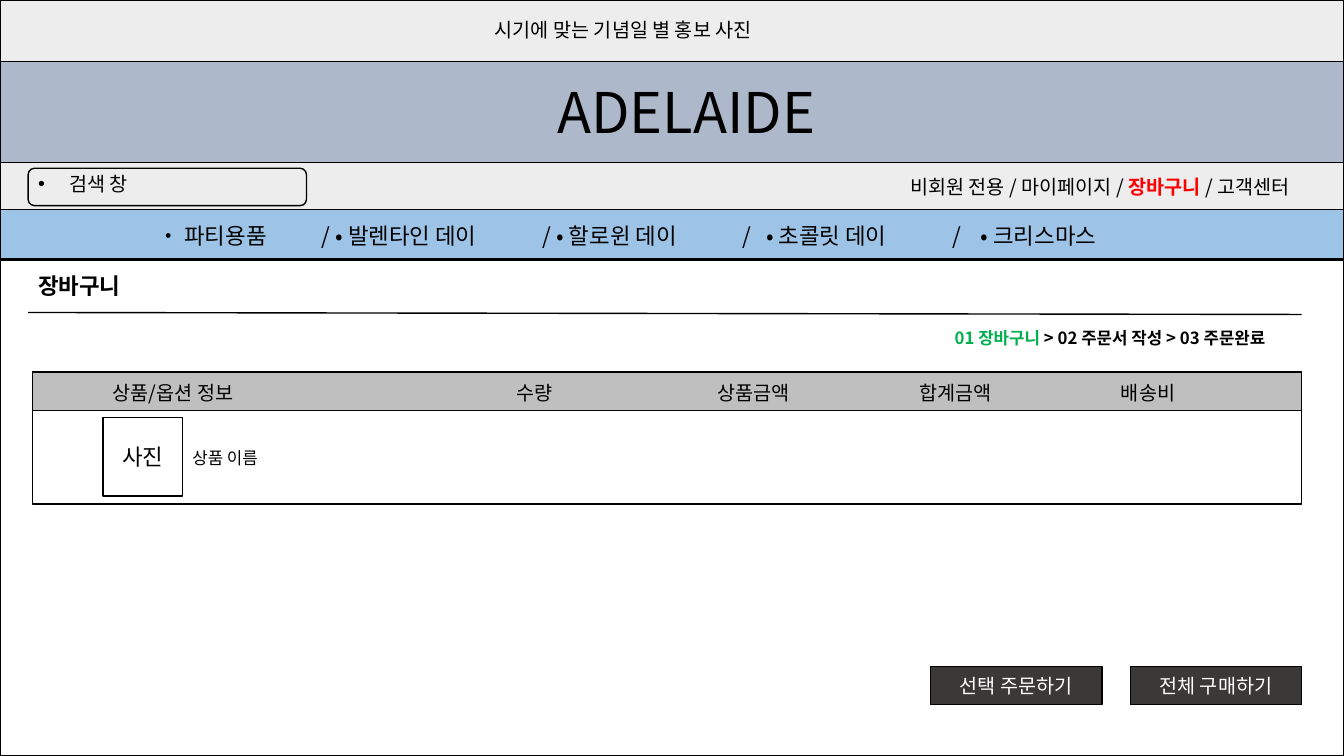
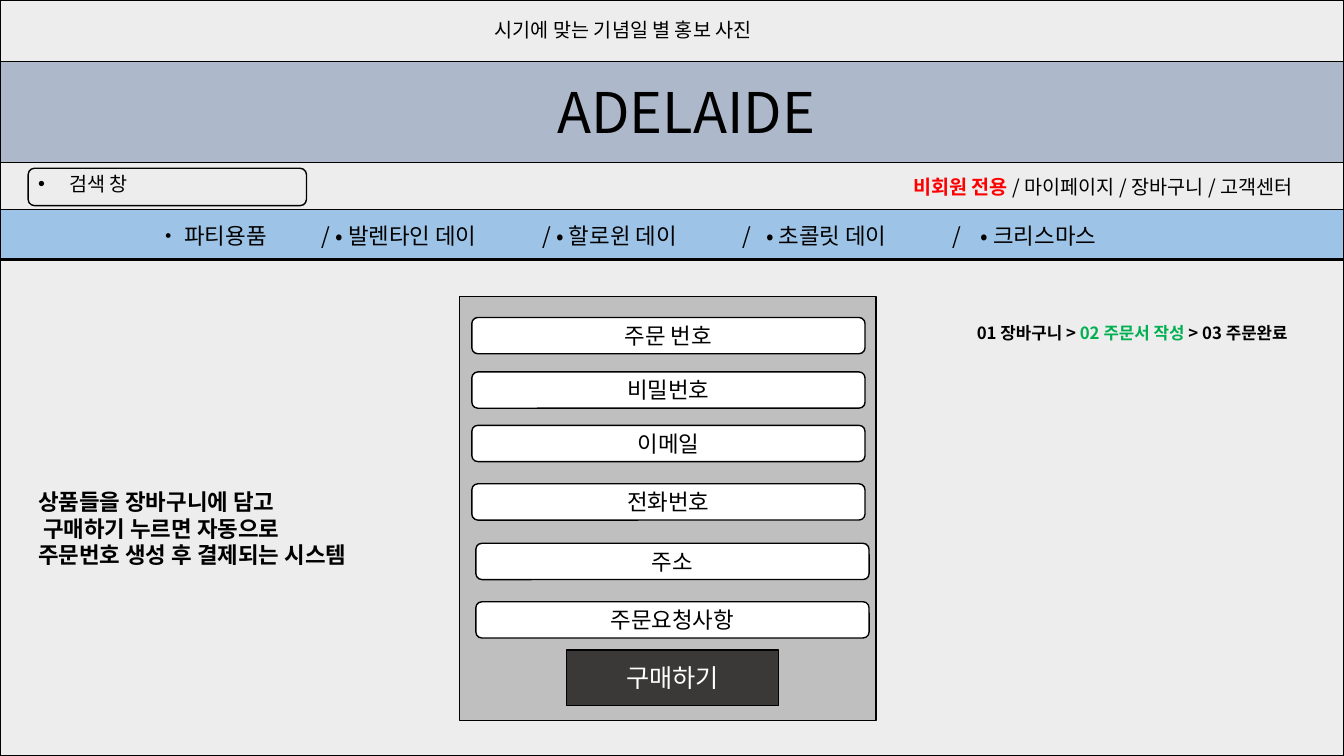
from dataclasses import dataclass

from lxml.etree import SubElement
from pptx import Presentation
from pptx.dml.color import RGBColor
from pptx.enum.shapes import MSO_CONNECTOR, MSO_SHAPE
from pptx.enum.text import MSO_ANCHOR, MSO_AUTO_SIZE, PP_ALIGN
from pptx.oxml.ns import qn
from pptx.slide import Slide
from pptx.text.text import TextFrame
from pptx.util import Inches, Pt


@dataclass(frozen=True)
class Theme:
    font: str = "Noto Sans CJK KR"
    black: str = "000000"
    white: str = "FFFFFF"
    pale: str = "EDEDED"
    panel: str = "BFBFBF"
    button: str = "3B3838"
    brand_band: str = "ADB9CA"
    category_band: str = "9DC3E6"
    menu_active: str = "FF0000"
    step_active: str = "00B050"
    line: float = 1
    brand: int = 40
    action: int = 18
    heading: int = 16
    label: int = 14
    small: int = 12


THEME = Theme()


@dataclass(frozen=True)
class Area:
    left: float
    top: float
    width: float
    height: float

    def lengths(self) -> list[Inches]:
        return [Inches(n) for n in (self.left, self.top, self.width, self.height)]


@dataclass(frozen=True)
class Span:
    text: str
    color: str = THEME.black
    bold: bool = False


@dataclass(frozen=True)
class Band:
    area: Area
    fill: str


@dataclass(frozen=True)
class Field:
    label: str
    left: float
    top: float


WIDTH, HEIGHT = 13.33, 7.5
MARGIN = 0.28
RIGHT_EDGE = 12.91
BANDS = (
    Band(Area(0, 0, WIDTH, 1.65), THEME.brand_band),
    Band(Area(0, 0, WIDTH, 0.61), THEME.pale),
    Band(Area(0, 1.61, WIDTH, 0.48), THEME.pale),
    Band(Area(0, 2.08, WIDTH, 0.49), THEME.category_band),
)
MENU = ("비회원 전용", "마이페이지", "장바구니", "고객센터")
STEPS = ("01 장바구니", "02 주문서 작성", "03 주문완료")
CATEGORIES = ("파티용품", "발렌타인 데이", "할로윈 데이", "초콜릿 데이", "크리스마스")
CATEGORY_TABS = (1.63, 1.77, 3.82, 3.96, 5.81, 6.04, 7.89, 8.17)
CART_COLUMNS = ("상품/옵션 정보", "수량", "상품금액", "합계금액", "배송비")
CART_TABS = (4, 6, 8, 10)
FIELDS = (
    Field("주문 번호", 4.68, 3.15),
    Field("비밀번호", 4.68, 3.69),
    Field("이메일", 4.68, 4.22),
    Field("전화번호", 4.68, 4.8),
    Field("주소", 4.72, 5.39),
    Field("주문요청사항", 4.72, 5.97),
)


def write(frame: TextFrame, lines: list[list[Span]], *, size: int,
          align: PP_ALIGN = PP_ALIGN.LEFT, tabs: tuple[float, ...] = (),
          hanging: float = 0) -> None:
    """Fill a frame with one paragraph per line; hanging adds a bullet."""
    for index, line in enumerate(lines):
        para = frame.add_paragraph() if index else frame.paragraphs[0]
        para.alignment = align
        properties = para._p.get_or_add_pPr()
        if hanging:
            properties.set("marL", str(Inches(hanging)))
            properties.set("indent", str(-Inches(hanging)))
            SubElement(properties, qn("a:buFont"), typeface="Arial")
            SubElement(properties, qn("a:buChar"), char="•")
        if tabs:
            stops = SubElement(properties, qn("a:tabLst"))
            for tab in tabs:
                SubElement(stops, qn("a:tab"), pos=str(Inches(tab)), algn="l")
        for span in line:
            run = para.add_run()
            run.text = span.text
            run.font.size = Pt(size)
            run.font.bold = span.bold
            run.font.color.rgb = RGBColor.from_string(span.color)
            run.font.name = THEME.font
            SubElement(run._r.get_or_add_rPr(), qn("a:ea"), typeface=THEME.font)


def add_text(page: Slide, area: Area, *lines: list[Span], size: int,
             wrap: bool = True, tabs: tuple[float, ...] = (),
             hanging: float = 0) -> None:
    frame = page.shapes.add_textbox(*area.lengths()).text_frame
    frame.word_wrap = wrap
    frame.auto_size = MSO_AUTO_SIZE.SHAPE_TO_FIT_TEXT
    write(frame, list(lines), size=size, tabs=tabs, hanging=hanging)


def add_box(page: Slide, area: Area, fill: str, *, text: str = "",
            size: int = THEME.heading, color: str = THEME.black,
            rounded: bool = False) -> None:
    kind = MSO_SHAPE.ROUNDED_RECTANGLE if rounded else MSO_SHAPE.RECTANGLE
    box = page.shapes.add_shape(kind, *area.lengths())
    box.shadow.inherit = False
    box.fill.solid()
    box.fill.fore_color.rgb = RGBColor.from_string(fill)
    box.line.color.rgb = RGBColor.from_string(THEME.black)
    box.line.width = Pt(THEME.line)
    if text:
        box.text_frame.word_wrap = True
        box.text_frame.vertical_anchor = MSO_ANCHOR.MIDDLE
        write(box.text_frame, [[Span(text, color)]], size=size, align=PP_ALIGN.CENTER)


def add_rule(page: Slide, start: tuple[float, float], end: tuple[float, float]) -> None:
    rule = page.shapes.add_connector(
        MSO_CONNECTOR.STRAIGHT, *(Inches(n) for n in (*start, *end)))
    rule.line.color.rgb = RGBColor.from_string(THEME.black)
    rule.line.width = Pt(THEME.line)
    SubElement(rule._element.spPr, qn("a:effectLst"))


def trail(labels: tuple[str, ...], active: str, separator: str, color: str,
          *, bold: bool) -> list[Span]:
    """Join labels with a separator, colouring and emboldening the active one."""
    spans = []
    for index, label in enumerate(labels):
        if index:
            spans.append(Span(f"{separator} ", bold=bold))
        ending = " " if index < len(labels) - 1 else ""
        is_active = label == active
        spans.append(Span(label + ending, color if is_active else THEME.black,
                          bold or is_active))
    return spans


def add_steps(page: Slide, left: float, top: float, active: str) -> None:
    add_text(page, Area(left, top, 4.24, 0.3),
             trail(STEPS, active, ">", THEME.step_active, bold=True), size=THEME.small)


def add_site_page(deck: Presentation, active_menu: str, menu_left: float,
                  body_fill: str) -> Slide:
    """Add a page with the shop header and an empty body."""
    page = deck.slides.add_slide(deck.slide_layouts[6])
    for band in BANDS:
        add_box(page, band.area, band.fill)
    add_text(page, Area(menu_left, 1.69, 4.5, 0.34),
             trail(MENU, active_menu, "/", THEME.menu_active, bold=False),
             size=THEME.label)
    add_text(page, Area(4.81, 0.13, 3.1, 0.34),
             [Span("시기에 맞는 기념일 별 홍보 사진")], size=THEME.label, wrap=False)
    add_text(page, Area(5.43, 0.72, 2.76, 0.77), [Span("ADELAIDE")],
             size=THEME.brand, wrap=False)
    add_box(page, Area(MARGIN, 1.67, 2.76, 0.37), THEME.pale, rounded=True)
    add_text(page, Area(MARGIN, 1.66, 1.17, 0.34), [Span("검색 창")],
             size=THEME.label, wrap=False, hanging=0.31)
    categories = "\t/\t".join(f"• {name}" for name in CATEGORIES)
    add_text(page, Area(1.46, 2.15, 11.19, 0.37), [Span(categories)],
             size=THEME.heading, tabs=CATEGORY_TABS)
    add_box(page, Area(0, 2.58, WIDTH, HEIGHT - 2.58), body_fill)
    return page


def add_cart_page(deck: Presentation) -> None:
    page = add_site_page(deck, "장바구니", 8.93, THEME.white)
    add_text(page, Area(MARGIN, 2.65, 6.75, 0.37), [Span("장바구니", bold=True)],
             size=THEME.heading)
    add_rule(page, (MARGIN, 3.1), (RIGHT_EDGE, 3.12))
    add_steps(page, 9.37, 3.2, STEPS[0])
    for height, fill in ((1.31, THEME.white), (0.38, THEME.panel)):
        add_box(page, Area(0.32, 3.69, 12.59, height), fill)
    add_text(page, Area(1.02, 3.73, 11.46, 0.34), [Span("\t".join(CART_COLUMNS))],
             size=THEME.label, tabs=CART_TABS)
    add_box(page, Area(1.02, 4.14, 0.79, 0.78), THEME.white, text="사진")
    add_text(page, Area(1.81, 4.39, 3.14, 0.3), [Span("상품 이름")], size=THEME.small)
    for left, label in ((9.23, "선택 주문하기"), (11.21, "전체 구매하기")):
        add_box(page, Area(left, 6.61, 1.7, 0.38), THEME.button, text=label,
                size=THEME.label, color=THEME.white)


def add_order_page(deck: Presentation) -> None:
    page = add_site_page(deck, "비회원 전용", 8.96, THEME.pale)
    add_box(page, Area(4.56, 2.94, 4.13, 4.21), THEME.panel)
    for field in FIELDS:
        add_box(page, Area(field.left, field.top, 3.9, 0.36), THEME.white,
                text=field.label, rounded=True)
    add_box(page, Area(5.62, 6.45, 2.1, 0.55), THEME.button, text="구매하기",
            size=THEME.action, color=THEME.white)
    explanation = ("상품들을 장바구니에 담고", " 구매하기 누르면 자동으로",
                   "주문번호 생성 후 결제되는 시스템")
    add_text(page, Area(MARGIN, 4.79, 4.46, 0.94),
             *([Span(line, bold=True)] for line in explanation), size=THEME.heading)
    add_steps(page, 9.59, 3.15, STEPS[1])


def main() -> None:
    deck = Presentation()
    deck.slide_width, deck.slide_height = Inches(WIDTH), Inches(HEIGHT)
    add_cart_page(deck)
    add_order_page(deck)
    deck.save("out.pptx")


if __name__ == "__main__":
    main()
